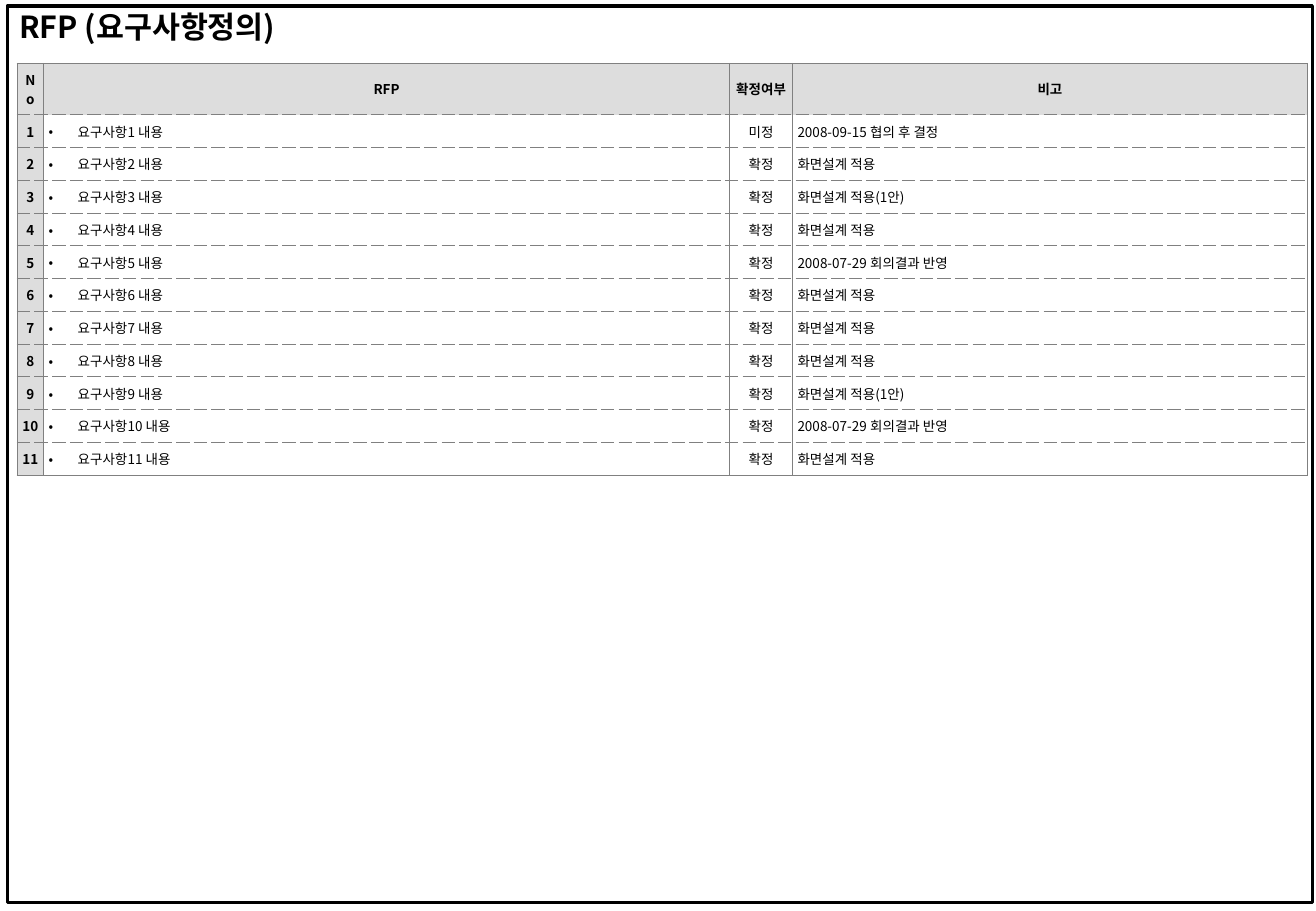
"""Build the requirements definition (RFP) slide."""
from dataclasses import dataclass

from lxml.etree import SubElement
from pptx import Presentation
from pptx.dml.color import RGBColor
from pptx.enum.shapes import MSO_SHAPE
from pptx.enum.text import MSO_ANCHOR, PP_ALIGN
from pptx.oxml.ns import qn
from pptx.slide import Slide
from pptx.table import _Cell
from pptx.text.text import _Paragraph
from pptx.util import Inches, Pt

FONT = "Noto Sans CJK KR"
BLACK, GRAY, HEADER_GRAY = "000000", "808080", "DDDDDD"
HEADER_HEIGHT, ROW_HEIGHT = 0.35, 0.27
APPLIED = "화면설계 적용"
FIRST_OPTION = "화면설계 적용(1안)"
MEETING = "2008-07-29 회의결과 반영"


@dataclass(frozen=True)
class Column:
    heading: str
    width: float
    centered: bool = False
    shaded: bool = False
    bulleted: bool = False


@dataclass(frozen=True)
class Requirement:
    remark: str
    status: str = "확정"


COLUMNS = [
    Column("No", 0.22, centered=True, shaded=True),
    Column("RFP", 5.65, bulleted=True),
    Column("확정여부", 0.52, centered=True),
    Column("비고", 4.24),
]
REQUIREMENTS = [
    Requirement("2008-09-15 협의 후 결정", "미정"),
    Requirement(APPLIED),
    Requirement(FIRST_OPTION),
    Requirement(APPLIED),
    Requirement(MEETING),
    Requirement(APPLIED),
    Requirement(APPLIED),
    Requirement(APPLIED),
    Requirement(FIRST_OPTION),
    Requirement(MEETING),
    Requirement(APPLIED),
]


def color(value: str) -> RGBColor:
    return RGBColor.from_string(value)


def add_text(paragraph: _Paragraph, text: str, size: float, bold: bool) -> None:
    run = paragraph.add_run()
    run.text = text
    run.font.size = Pt(size)
    run.font.bold = bold
    run.font.name = FONT
    run.font.color.rgb = color(BLACK)
    SubElement(run.font._element, qn("a:ea"), typeface=FONT)


def add_bullet(paragraph: _Paragraph) -> None:
    properties = paragraph._p.get_or_add_pPr()
    properties.set("marL", str(Inches(0.24)))
    properties.set("indent", str(Inches(-0.24)))
    bullet_color = SubElement(properties, qn("a:buClr"))
    SubElement(bullet_color, qn("a:srgbClr"), val=BLACK)
    SubElement(properties, qn("a:buFont"), typeface=FONT)
    SubElement(properties, qn("a:buChar"), char="•")


def add_border(cell: _Cell, side: str, dashed: bool) -> None:
    properties = cell._tc.get_or_add_tcPr()
    border = SubElement(properties, qn(f"a:ln{side}"), w=str(Pt(0.45)))
    fill = SubElement(border, qn("a:solidFill"))
    SubElement(fill, qn("a:srgbClr"), val=GRAY)
    SubElement(border, qn("a:prstDash"), val="dash" if dashed else "solid")


def fill_cell(cell: _Cell, text: str, column: Column, is_header: bool, is_last: bool) -> None:
    cell.margin_left = cell.margin_right = Inches(0.04)
    cell.margin_top = cell.margin_bottom = Inches(0.05)
    cell.vertical_anchor = MSO_ANCHOR.MIDDLE
    for side, dashed in (("L", False), ("R", False), ("T", not is_header), ("B", not is_last)):
        add_border(cell, side, dashed)
    shaded = is_header or column.shaded
    if shaded:
        cell.fill.solid()
        cell.fill.fore_color.rgb = color(HEADER_GRAY)
    else:
        cell.fill.background()
    paragraph = cell.text_frame.paragraphs[0]
    paragraph.alignment = PP_ALIGN.CENTER if is_header or column.centered else PP_ALIGN.LEFT
    paragraph.space_after = Pt(2)
    if column.bulleted and not is_header:
        add_bullet(paragraph)
    add_text(paragraph, text, 8, shaded)


def add_title_frame(slide: Slide) -> None:
    frame = slide.shapes.add_shape(
        MSO_SHAPE.RECTANGLE, Inches(0.06), Inches(0.05), Inches(10.75), Inches(7.38)
    )
    frame.shadow.inherit = False
    frame.fill.background()
    frame.line.color.rgb = color(BLACK)
    frame.line.width = Pt(2)
    frame.text_frame.vertical_anchor = MSO_ANCHOR.TOP
    title = frame.text_frame.paragraphs[0]
    title.alignment = PP_ALIGN.LEFT
    title.line_spacing = 0.9
    add_text(title, "RFP (요구사항정의)", 18, True)


def add_requirements_table(slide: Slide) -> None:
    rows = [[column.heading for column in COLUMNS]]
    for number, requirement in enumerate(REQUIREMENTS, 1):
        rows.append([str(number), f"요구사항{number} 내용", requirement.status, requirement.remark])
    width = sum(column.width for column in COLUMNS)
    height = HEADER_HEIGHT + ROW_HEIGHT * len(REQUIREMENTS)
    table = slide.shapes.add_table(
        len(rows), len(COLUMNS), Inches(0.14), Inches(0.52), Inches(width), Inches(height)
    ).table
    table.first_row = table.horz_banding = False
    for index, column in enumerate(COLUMNS):
        table.columns[index].width = Inches(column.width)
    for row_index, texts in enumerate(rows):
        is_header = row_index == 0
        is_last = row_index == len(rows) - 1
        table.rows[row_index].height = Inches(HEADER_HEIGHT if is_header else ROW_HEIGHT)
        for column_index, (text, column) in enumerate(zip(texts, COLUMNS)):
            fill_cell(table.cell(row_index, column_index), text, column, is_header, is_last)


def main() -> None:
    presentation = Presentation()
    presentation.slide_width = Inches(10.84)
    presentation.slide_height = Inches(7.5)
    slide = presentation.slides.add_slide(presentation.slide_layouts[6])
    add_title_frame(slide)
    add_requirements_table(slide)
    presentation.save("out.pptx")


if __name__ == "__main__":
    main()
